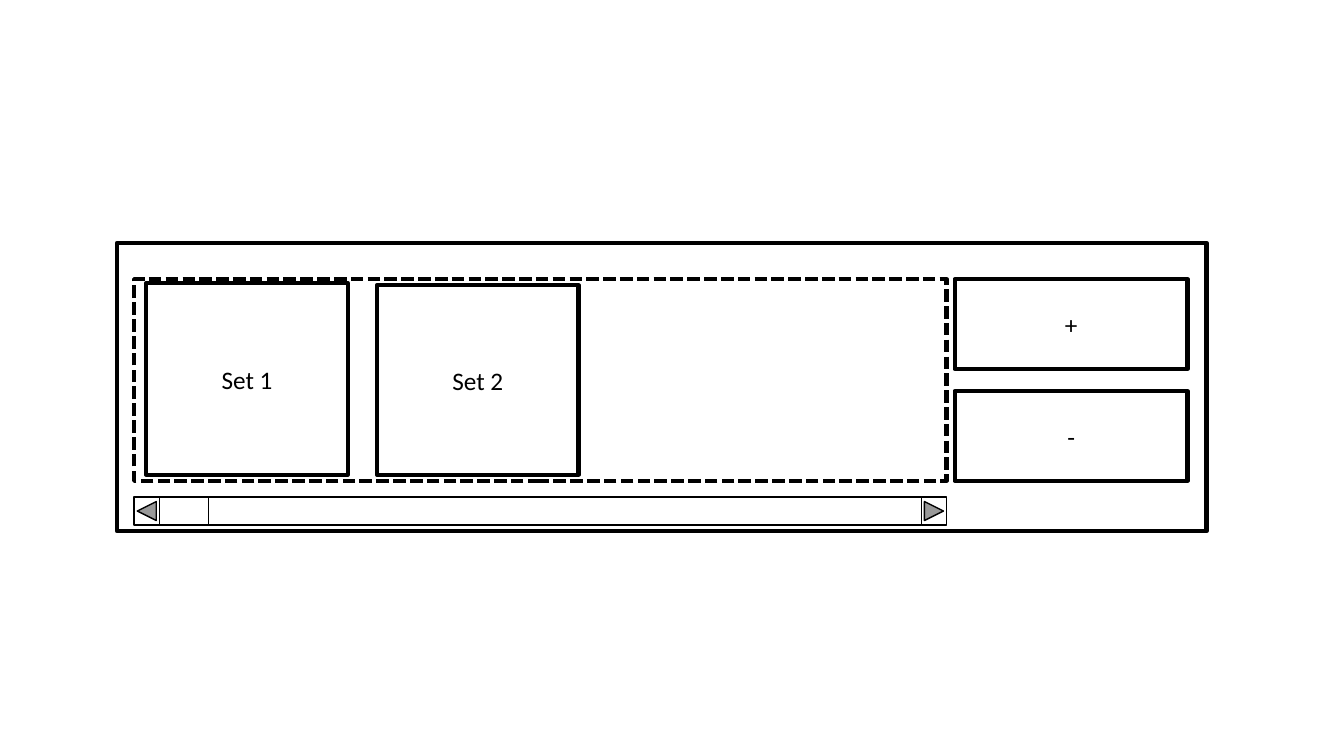
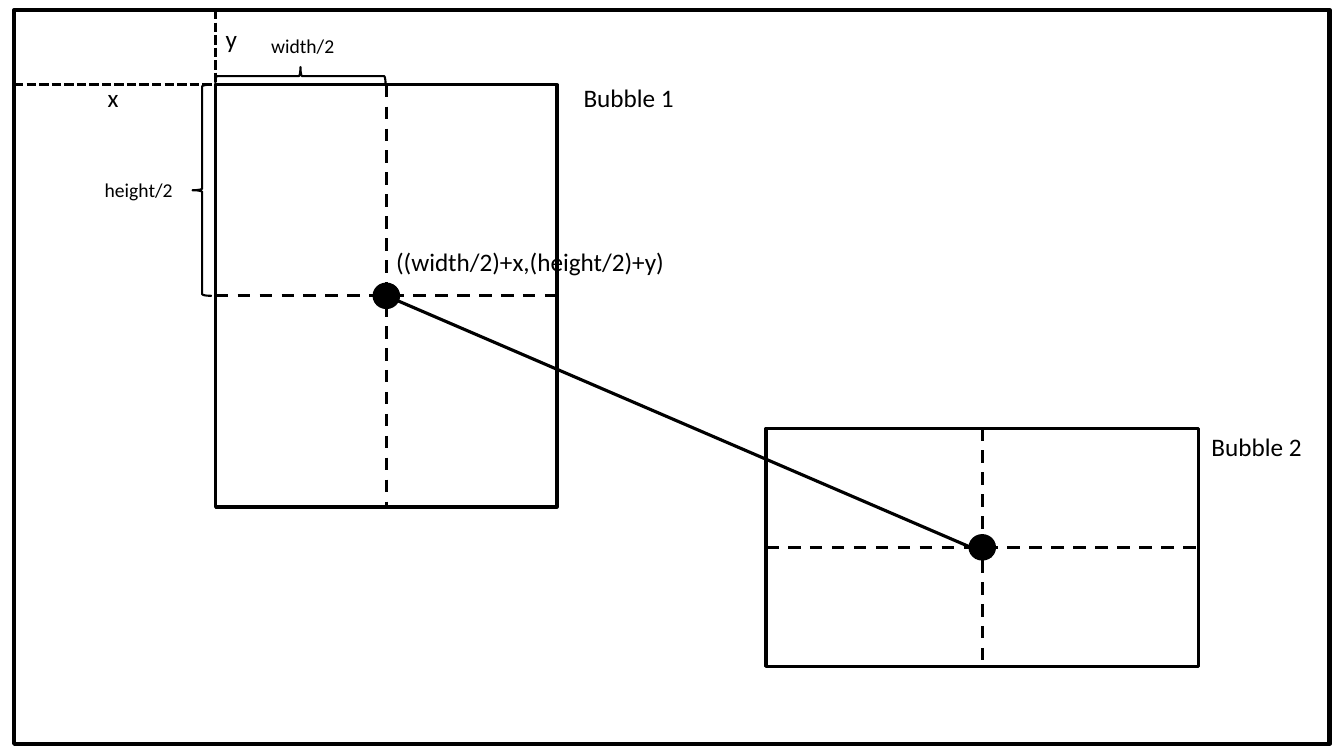
from lxml import etree
from pptx import Presentation
from pptx.dml.color import RGBColor
from pptx.enum.dml import MSO_LINE
from pptx.enum.shapes import MSO_CONNECTOR, MSO_SHAPE
from pptx.enum.text import MSO_ANCHOR, PP_ALIGN
from pptx.oxml.ns import qn
from pptx.util import Inches, Pt

RECT = MSO_SHAPE.RECTANGLE
OVAL = MSO_SHAPE.OVAL
BRACE = MSO_SHAPE.LEFT_BRACE
NEXT = MSO_SHAPE.ACTION_BUTTON_FORWARD_OR_NEXT
STRAIGHT = MSO_CONNECTOR.STRAIGHT
DASH = MSO_LINE.DASH
SHORT = MSO_LINE.SQUARE_DOT
CENTER = PP_ALIGN.CENTER
LEFT = PP_ALIGN.LEFT
MIDDLE = MSO_ANCHOR.MIDDLE
TOP = MSO_ANCHOR.TOP

COLORS = {"ink": "000000", "paper": "FFFFFF"}
INK = RGBColor.from_string(COLORS["ink"])
FONT = "Calibri"

deck = Presentation()
deck.slide_width = Inches(13.333)
deck.slide_height = Inches(7.5)
COL = deck.slide_width / 100
ROW = deck.slide_height / 100
BLANK = deck.slide_layouts[6]


def box(page, kind, x, y, w, h, line=3, fill="paper", dash=None, turn=0, text="", size=18):
    place = [round(n) for n in (x * COL, y * ROW, w * COL, h * ROW)]
    if kind is None:
        shape = page.shapes.add_textbox(*place)
    else:
        shape = page.shapes.add_shape(kind, *place)
        shape.shadow.inherit = False
        shape.rotation = turn
        shape.line.color.rgb = INK
        shape.line.width = Pt(line)
        if dash:
            shape.line.dash_style = dash
        if fill:
            shape.fill.solid()
            shape.fill.fore_color.rgb = RGBColor.from_string(COLORS[fill])
        else:
            shape.fill.background()
    if text:
        frame = shape.text_frame
        frame.word_wrap = True
        frame.vertical_anchor = MIDDLE if kind else TOP
        para = frame.paragraphs[0]
        para.alignment = CENTER if kind else LEFT
        run = para.add_run()
        run.text = text
        run.font.name = FONT
        run.font.size = Pt(size)
        run.font.color.rgb = INK


def rule(page, x1, y1, x2, y2, dash=None):
    ends = [round(n) for n in (x1 * COL, y1 * ROW, x2 * COL, y2 * ROW)]
    link = page.shapes.add_connector(STRAIGHT, *ends)
    link.line.color.rgb = INK
    link.line.width = Pt(2.25)
    if dash:
        link.line.dash_style = dash
    etree.SubElement(link._element.spPr, qn("a:effectLst"))


page = deck.slides.add_slide(BLANK)
box(page, RECT, 8.7, 32.13, 81.08, 38.13)

tray_x, tray_y, tray_w, tray_h = 9.98, 36.93, 60.45, 26.67
for row, sign in enumerate("+-"):
    box(page, RECT, 71.03, tray_y + row * 14.8, 17.33, 11.87, text=sign)

bar_y, bar_h, tip_w = 65.73, 3.73, 1.88
for x, turn in ((tray_x, 180), (tray_x + tray_w - tip_w, 0)):
    box(page, NEXT, x, bar_y, tip_w, bar_h, line=1, turn=turn)
for w in (tray_w - 2 * tip_w, 3.68):
    box(page, RECT, tray_x + tip_w, bar_y, w, bar_h, line=1)

box(page, RECT, tray_x, tray_y, tray_w, tray_h, dash=SHORT)
base = 62.8
for x, y, name in ((10.88, 37.47, "Set 1"), (28.05, 37.73, "Set 2")):
    box(page, RECT, x, y, 15, base - y, text=name)

page = deck.slides.add_slide(BLANK)
edge_x, edge_y = 1.05, 1.33
box(page, RECT, edge_x, edge_y, 97.88, 97.07, fill=None)

bubbles = ((16.05, 11.2, 25.4, 55.87), (57, 56.67, 32.18, 31.47))
dot_w, dot_h = 1.95, 3.33
for x, y, w, h in bubbles:
    mid_x, mid_y = x + w / 2, y + h / 2
    box(page, RECT, x, y, w, h, line=2.25)
    box(page, OVAL, mid_x - dot_w / 2, mid_y - dot_h / 2, dot_w, dot_h, line=1, fill="ink")
    rule(page, mid_x, y, mid_x, y + h, DASH)
    rule(page, x, mid_y, x + w, mid_y, DASH)

x, y, w, h = bubbles[0]
rule(page, x + w / 2, y + h / 2, 73.8, 73.6)
rule(page, x, edge_y, x, y, SHORT)
rule(page, edge_x, y, x, y, SHORT)
box(page, BRACE, 14.33, y, 1.43, h / 2, line=1.5, fill=None)
box(page, BRACE, 21.68, -1.2, 1.35, 22.53, line=1.5, fill=None, turn=90)

labels = (
    ("Bubble 1", 42.68, 10.27, 8.63, 18),
    ("Bubble 2", 89.4, 56.4, 8.63, 18),
    ("y", x, 2.4, 2.48, 18),
    ("x", 7.28, 10.27, 2.48, 18),
    ("height/2", 7.05, 22.93, 6.75, 14),
    ("width/2", 19.43, 3.87, 7.43, 14),
    ("((width/2)+x,(height/2)+y)", 28.73, 31.87, 22.5, 18),
)
for text, left, top, wide, size in labels:
    box(page, None, left, top, wide, size * 0.3, text=text, size=size)

deck.save("out.pptx")
